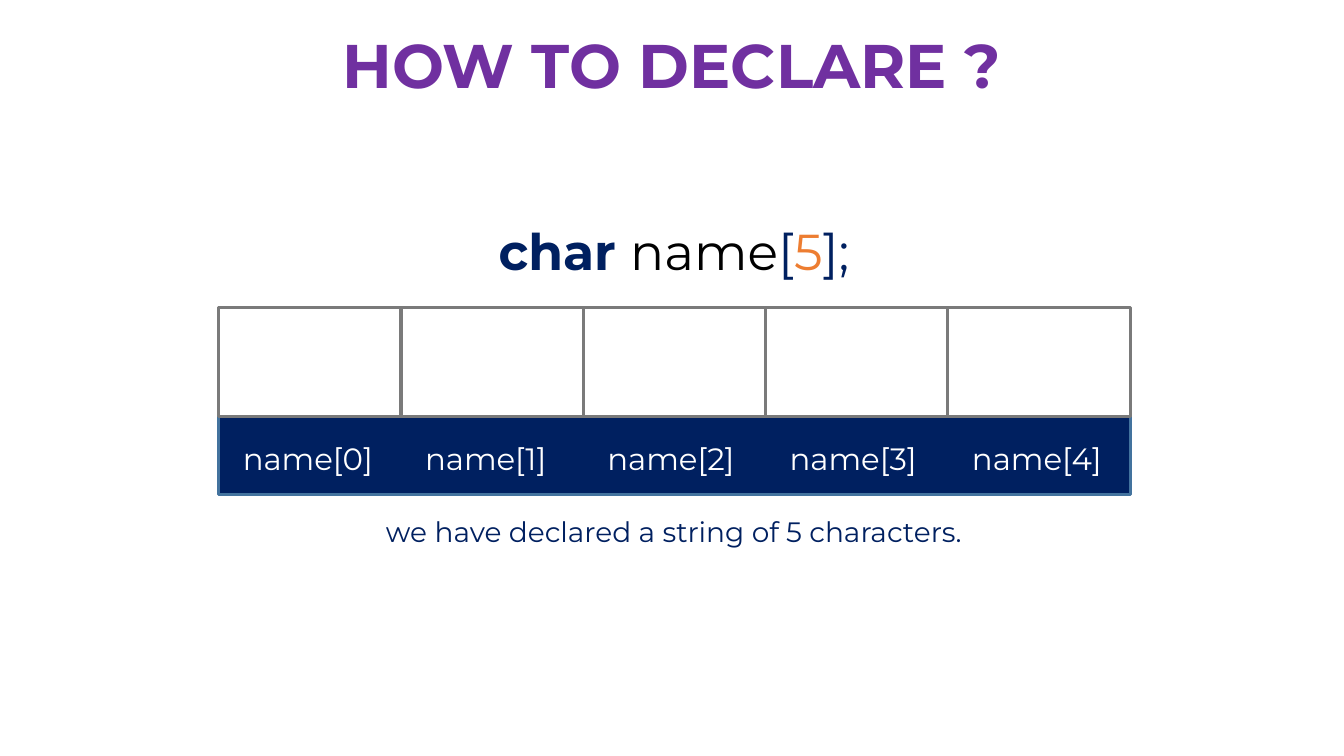
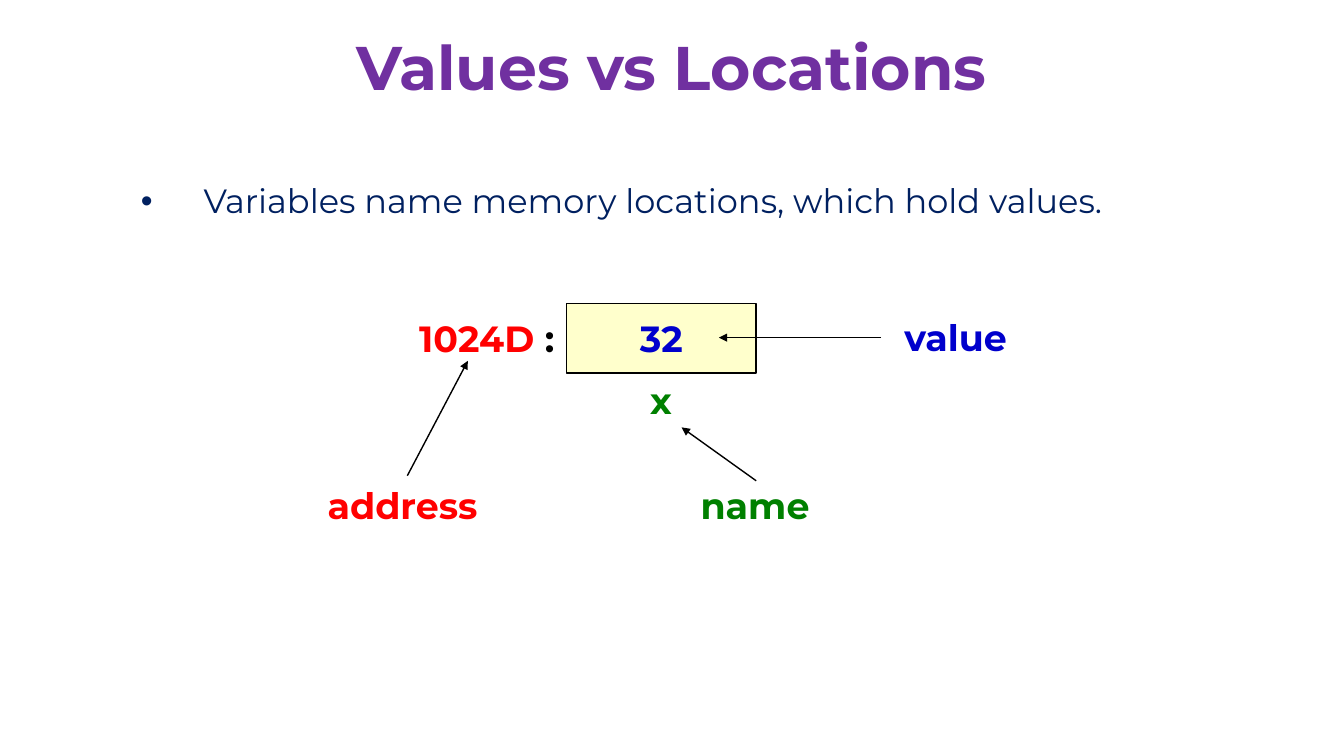
from dataclasses import dataclass

from lxml.etree import SubElement
from pptx import Presentation
from pptx.dml.color import RGBColor
from pptx.enum.shapes import MSO_CONNECTOR, MSO_SHAPE
from pptx.enum.text import MSO_ANCHOR, MSO_AUTO_SIZE, PP_ALIGN
from pptx.oxml.ns import qn
from pptx.shapes.autoshape import Shape
from pptx.slide import Slide
from pptx.text.text import TextFrame
from pptx.util import Inches, Pt

FONT = "Montserrat"
SLIDE_WIDTH, SLIDE_HEIGHT = 13.33, 7.5
PURPLE, NAVY, ORANGE = "7030A0", "002060", "ED7D31"
BLACK, WHITE, GRAY, STEEL = "000000", "FFFFFF", "7A7A7A", "43739E"
RED, GREEN, BLUE, CREAM = "FF0000", "008000", "0000CC", "FFFFCC"


@dataclass(frozen=True)
class Box:
    left: float
    top: float
    width: float
    height: float

    def lengths(self) -> list[int]:
        return [Inches(value) for value in (self.left, self.top, self.width, self.height)]


@dataclass(frozen=True)
class Piece:
    text: str
    color: str
    bold: bool = False


@dataclass(frozen=True)
class Label:
    box: Box
    pieces: tuple[Piece, ...]
    align: PP_ALIGN = PP_ALIGN.LEFT


@dataclass(frozen=True)
class Arrow:
    start: tuple[float, float]
    end: tuple[float, float]


PARAGRAPH = {"line_spacing": 0.9, "space_before": Pt(10)}
CENTERED = {**PARAGRAPH, "alignment": PP_ALIGN.CENTER}


def rgb(color: str) -> RGBColor:
    return RGBColor.from_string(color)


def write(frame: TextFrame, pieces: tuple[Piece, ...], size: float, paragraph_format: dict) -> None:
    """Fill the first paragraph with formatted runs."""
    paragraph = frame.paragraphs[0]
    for name, value in paragraph_format.items():
        setattr(paragraph, name, value)
    for piece in pieces:
        run = paragraph.add_run()
        run.text = piece.text
        for name, value in {"name": FONT, "size": Pt(size), "bold": piece.bold}.items():
            setattr(run.font, name, value)
        run.font.color.rgb = rgb(piece.color)


def add_text(slide: Slide, box: Box, pieces: tuple[Piece, ...], size: float, paragraph_format: dict) -> Shape:
    shape = slide.shapes.add_textbox(*box.lengths())
    shape.text_frame.word_wrap = True
    write(shape.text_frame, pieces, size, paragraph_format)
    return shape


def add_rectangle(slide: Slide, box: Box, fill: str, line: str, line_width: float) -> Shape:
    shape = slide.shapes.add_shape(MSO_SHAPE.RECTANGLE, *box.lengths())
    shape.shadow.inherit = False
    shape.fill.solid()
    shape.fill.fore_color.rgb = rgb(fill)
    shape.line.color.rgb = rgb(line)
    shape.line.width = Pt(line_width)
    return shape


def add_arrow(slide: Slide, arrow: Arrow) -> None:
    points = [Inches(value) for value in (*arrow.start, *arrow.end)]
    connector = slide.shapes.add_connector(MSO_CONNECTOR.STRAIGHT, *points)
    connector.line.color.rgb = rgb(BLACK)
    connector.line.width = Pt(1)
    SubElement(connector.line._get_or_add_ln(), qn("a:tailEnd"), type="triangle")
    SubElement(connector._element.spPr, qn("a:effectLst"))


def add_bullet(shape: Shape, indent: float) -> None:
    properties = shape.text_frame.paragraphs[0]._p.get_or_add_pPr()
    properties.set("marL", str(Inches(indent)))
    properties.set("indent", str(-Inches(indent)))
    SubElement(properties, qn("a:buFont"), typeface="Arial")
    SubElement(properties, qn("a:buChar"), char="•")


def add_titled_slide(presentation: Presentation, title: str, top: float) -> Slide:
    slide = presentation.slides.add_slide(presentation.slide_layouts[5])
    shape = slide.shapes.title
    shape.left, shape.top, shape.width, shape.height = Box(0, top, SLIDE_WIDTH, 0.84).lengths()
    frame_format = {"vertical_anchor": MSO_ANCHOR.BOTTOM, "auto_size": MSO_AUTO_SIZE.NONE, "word_wrap": True}
    for name, value in frame_format.items():
        setattr(shape.text_frame, name, value)
    write(shape.text_frame, (Piece(title, PURPLE, True),), 44, {**CENTERED, "space_before": Pt(0)})
    return slide


def build_declaration(presentation: Presentation) -> None:
    slide = add_titled_slide(presentation, "HOW TO DECLARE ?", 0.22)
    declaration = (
        Piece("char ", NAVY, True),
        Piece("name", BLACK),
        Piece("[", NAVY),
        Piece("5", ORANGE),
        Piece("];", NAVY),
    )
    add_text(slide, Box(1, 2.2, 11.37, 0.75), declaration, 36, CENTERED)

    # Array: index band below a row of equal cells
    count, left, top, width, cell_height = 5, 2.17, 3.05, 9.04, 1.08
    pitch = width / count
    add_rectangle(slide, Box(left, top + cell_height, width, 0.78), NAVY, STEEL, 2.25)
    for index in range(count):
        cell_left = left + index * pitch
        add_rectangle(slide, Box(cell_left, top, pitch, cell_height), WHITE, GRAY, 2.25)
        label_box = Box(cell_left + 0.14, 4.31, 1.67, 0.47)
        add_text(slide, label_box, (Piece(f"name[{index}]", WHITE),), 22, {})

    summary = (Piece("we have declared a string of 5 characters.", NAVY),)
    add_text(slide, Box(1, 5.09, 11.37, 0.42), summary, 20, CENTERED)


def build_locations(presentation: Presentation) -> None:
    slide = add_titled_slide(presentation, "Values vs Locations", 0.24)
    statement = (Piece("Variables name memory locations, which hold values.", NAVY),)
    bullet = add_text(slide, Box(1.3, 1.54, 10.79, 0.78), statement, 24, {**PARAGRAPH, "line_spacing": 1.5})
    add_bullet(bullet, 0.62)

    # Memory cell
    cell = add_rectangle(slide, Box(5.62, 3.01, 1.88, 0.69), CREAM, BLACK, 1)
    cell.text_frame.vertical_anchor = MSO_ANCHOR.MIDDLE
    write(cell.text_frame, (Piece("32", BLUE, True),), 26, {"alignment": PP_ALIGN.CENTER})

    # Labels around the cell
    labels = (
        Label(Box(6.17, 3.7, 0.77, 0.54), (Piece("x", GREEN, True),), PP_ALIGN.CENTER),
        Label(Box(4.06, 3.09, 1.56, 0.54), (Piece("1024D ", RED, True), Piece(":", BLACK, True))),
        Label(Box(3.15, 4.74, 1.79, 0.54), (Piece("address", RED, True),)),
        Label(Box(6.85, 4.74, 1.55, 0.54), (Piece("name", GREEN, True),)),
        Label(Box(8.87, 3.08, 1.38, 0.54), (Piece("value", BLUE, True),)),
    )
    for label in labels:
        add_text(slide, label.box, label.pieces, 26, {"alignment": label.align})

    # Arrows from each term to its example
    arrows = (
        Arrow((4.04, 4.72), (4.64, 3.58)),
        Arrow((7.5, 4.77), (6.76, 4.24)),
        Arrow((8.74, 3.35), (7.13, 3.35)),
    )
    for arrow in arrows:
        add_arrow(slide, arrow)


def main() -> None:
    presentation = Presentation()
    presentation.slide_width = Inches(SLIDE_WIDTH)
    presentation.slide_height = Inches(SLIDE_HEIGHT)
    build_declaration(presentation)
    build_locations(presentation)
    presentation.save("out.pptx")


if __name__ == "__main__":
    main()
